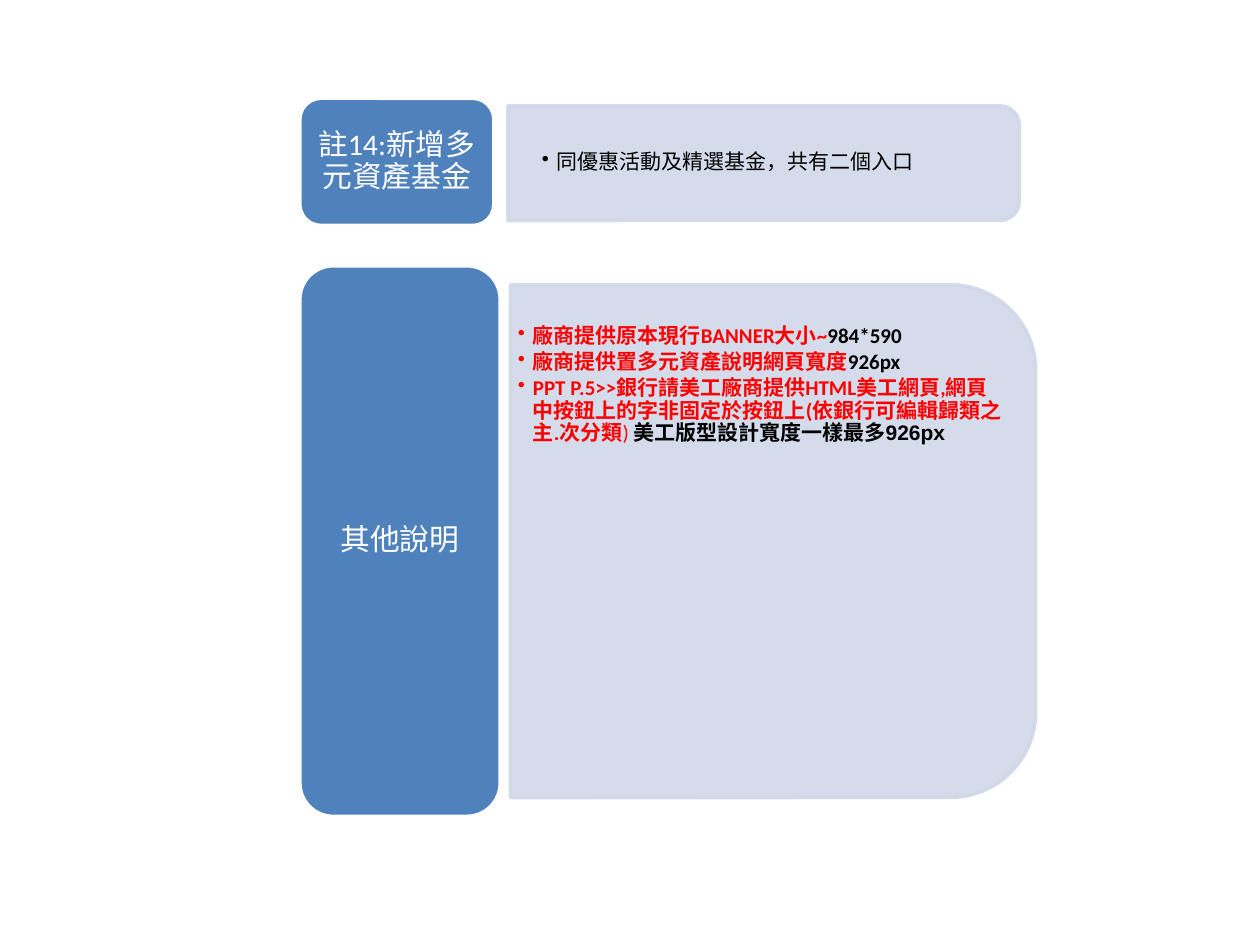
from lxml import etree
from pptx import Presentation
from pptx import util as u
from pptx.dml.color import RGBColor
from pptx.enum import shapes, text
from pptx.oxml import ns

COLUMNS, ROWS = 100, 75
CELL = u.Inches(0.1)
BLUE, PALE, WHITE, BLACK, RED = "4F81BD", "D0D8E8", "FFFFFF", "000000", "FF0000"


def grid(cells):
    return u.Emu(round(cells * CELL))


def colour(hex_value):
    return RGBColor.from_string(hex_value)


def set_alpha(fill_owner, percent):
    """Make every solid colour below an XML element partly transparent."""
    for element in fill_owner.iter(ns.qn("a:srgbClr")):
        etree.SubElement(element, ns.qn("a:alpha"), val=str(percent * 1000))


def add_block(slide, kind, box, fill, line):
    shape = slide.shapes.add_shape(kind, *map(grid, box))
    shape.shadow.inherit = False
    shape.fill.solid()
    shape.fill.fore_color.rgb = colour(fill)
    shape.line.color.rgb = colour(line)
    shape.line.width = u.Pt(2)
    return shape


def set_frame(frame, margins, anchor):
    """Margins are left, top, right and bottom in grid cells."""
    frame.word_wrap = True
    frame.vertical_anchor = anchor
    (frame.margin_left, frame.margin_top,
     frame.margin_right, frame.margin_bottom) = map(grid, margins)


def add_run(paragraph, content, size=12, font="Calibri", fill=BLACK, bold=False):
    run = paragraph.add_run()
    run.text = content
    run.font.size = u.Pt(size)
    run.font.name = font
    run.font.bold = bold
    run.font.color.rgb = colour(fill)


def set_bullet(paragraph):
    properties = paragraph._p.get_or_add_pPr()
    indent = grid(1.2)
    properties.set("marL", str(indent))
    properties.set("indent", str(-indent))
    etree.SubElement(properties, ns.qn("a:buChar"), char="•")


def add_label(slide, box, caption):
    label = add_block(slide, shapes.MSO_SHAPE.ROUNDED_RECTANGLE, box, BLUE, WHITE)
    set_frame(label.text_frame, (0.7, 0.4, 0.7, 0.4), text.MSO_ANCHOR.MIDDLE)
    paragraph = label.text_frame.paragraphs[0]
    paragraph.alignment = text.PP_ALIGN.CENTER
    paragraph.line_spacing = 0.9
    add_run(paragraph, caption, size=17, fill=WHITE)


def add_panel(slide, box):
    """Add a panel rounded on the right: a top-rounded shape, turned a quarter."""
    left, top, width, height = box
    turned = (left + (width - height) / 2, top + (height - width) / 2, height, width)
    panel = add_block(slide, shapes.MSO_SHAPE.ROUND_2_SAME_RECTANGLE, turned, PALE, PALE)
    panel.rotation = 90
    set_alpha(panel._element.spPr, 90)


def add_bullets(slide, box, items, margins, anchor):
    frame = slide.shapes.add_textbox(*map(grid, box)).text_frame
    set_frame(frame, margins, anchor)
    for index, runs in enumerate(items):
        paragraph = frame.add_paragraph() if index else frame.paragraphs[0]
        paragraph.line_spacing = 0.9
        paragraph.space_after = u.Pt(2)
        set_bullet(paragraph)
        for content, style in runs:
            add_run(paragraph, content, **style)


def main():
    presentation = Presentation()
    presentation.slide_width, presentation.slide_height = grid(COLUMNS), grid(ROWS)
    slide = presentation.slides.add_slide(presentation.slide_layouts[6])

    add_panel(slide, (40.3, 8.4, 40.6, 9.1))
    add_bullets(slide, (40.3, 8.8, 40.2, 8.2),
                [[("同優惠活動及精選基金，共有二個入口", {})]],
                (2.7, 1.4, 2.7, 1.4), text.MSO_ANCHOR.MIDDLE)
    add_label(slide, (23.8, 7.8, 15.4, 10.1), "註14:新增多元資產基金")

    red = {"fill": RED, "bold": True}
    black = {"bold": True}
    notes = [
        [("廠商提供原本現行BANNER大小~", red), ("984*590", black)],
        [("廠商提供置多元資產說明網頁寬度", red), ("926px", black)],
        [("PPT P.5>>銀行請美工廠商提供HTML美工網頁,網頁中按鈕上的字非固定於按鈕上"
          "(依銀行可編輯歸類之主.次分類", red),
         (") ", {"fill": RED}),
         ("美工版型設計寬度一樣最多926px", {"font": "Arial", "bold": True})],
    ]
    add_panel(slide, (40.5, 22.6, 41.7, 40.7))
    add_bullets(slide, (40.6, 24.5, 39.7, 36.8), notes,
                (0.5, 1.3, 0.5, 0.3), text.MSO_ANCHOR.TOP)
    add_label(slide, (23.8, 21.1, 15.9, 43.7), "其他說明")

    presentation.save("out.pptx")


if __name__ == "__main__":
    main()
